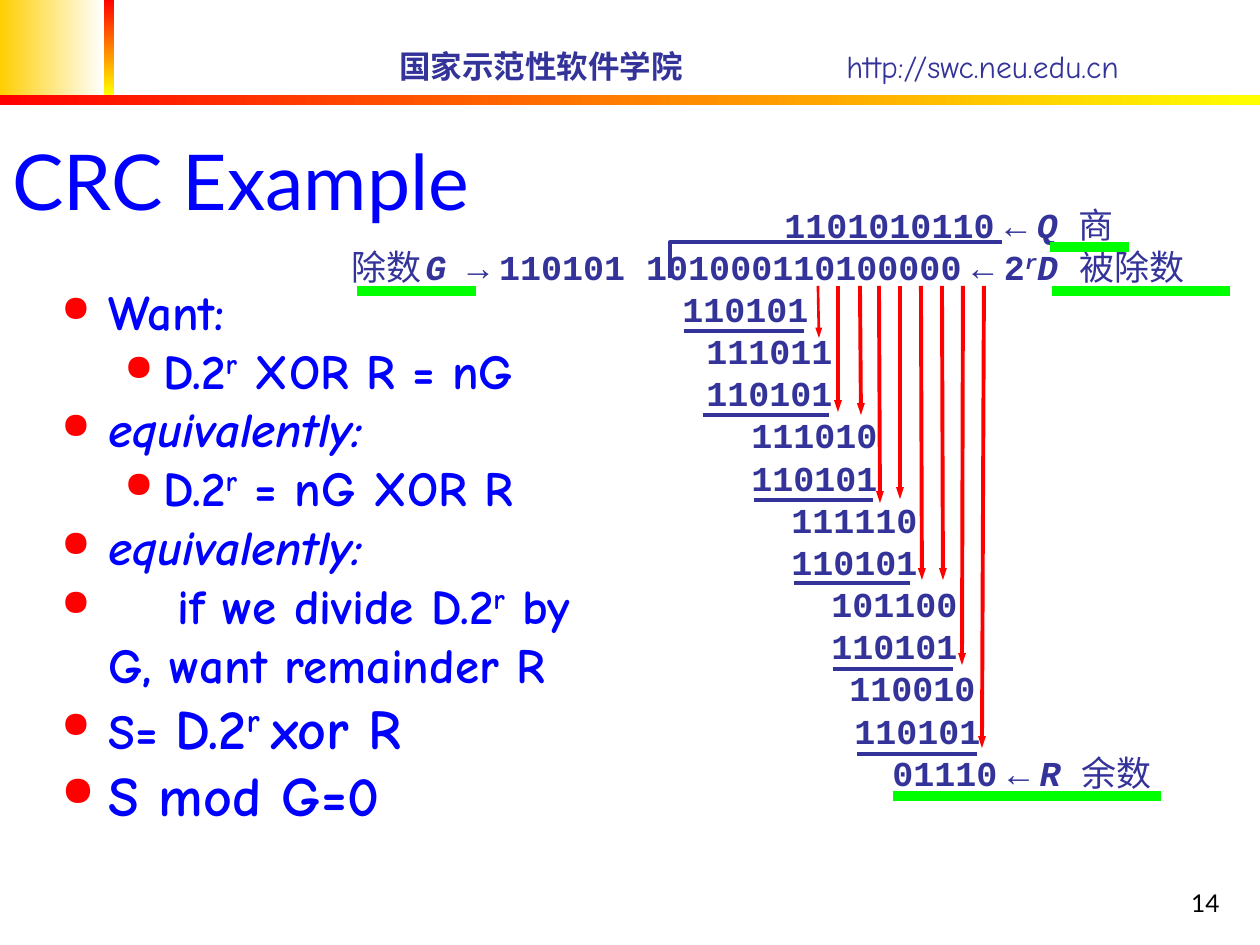
from lxml import etree
from pptx import Presentation
from pptx.dml.color import RGBColor
from pptx.enum.shapes import MSO_CONNECTOR as Connector, MSO_SHAPE as Shape
from pptx.enum.text import MSO_ANCHOR as Anchor, PP_ALIGN as Align
from pptx.oxml.ns import qn
from pptx.util import Pt

PX = 914400 // 126
NAVY, BLUE = RGBColor(0x33, 0x33, 0x99), RGBColor(0, 0, 0xFF)
RED, YELLOW = RGBColor(0xFF, 0, 0), RGBColor(0xFF, 0xFF, 0)
GOLD, GREEN = RGBColor(0xFF, 0xCF, 0x01), RGBColor(0, 0xFF, 0)
WHITE, BLACK = RGBColor(0xFF, 0xFF, 0xFF), RGBColor(0, 0, 0)
HAND, MONO, SANS = "Comic Neue", "Courier New", "Lato"

# Decoration: left, top, width, height, start colour, end colour, angle
BANDS = [
    (0, 0, 104, 95, GOLD, WHITE, 0),
    (104, 0, 10, 95, RED, YELLOW, 270),
    (0, 95, 1260, 10, RED, YELLOW, 0),
]

# Runs are (text, marks): i italic, n not bold, s small, ^ superscript, L large
GAP = (" ", "s")
# Long division: left indent, runs
DIVISION = [
    (441, [("1101010110", ""), GAP, ("←", ""), GAP, ("Q ", "i"), ("商", "n")]),
    (8, [("除数", "n"), GAP, ("G ", "i"), ("→", ""), GAP,
         ("110101 101000110100000", ""), GAP, ("←", ""), GAP, ("2", ""),
         ("r", "i^"), ("D ", "i"), ("被除数", "n")]),
    (339, [("110101", "")]),
    (363, [("111011", "")]),
    (363, [("110101", "")]),
    (408, [("111010", "")]),
    (408, [("110101", "")]),
    (448, [("111110", "")]),
    (448, [("110101", "")]),
    (488, [("101100", "")]),
    (488, [("110101", "")]),
    (506, [("110010", "")]),
    (511, [("110101", "")]),
    (549, [("01110", ""), GAP, ("←", ""), GAP, ("R ", "i"), ("余数", "n")]),
]

# Bullets: level, runs
BULLETS = [
    (0, [("Want:", "")]),
    (1, [("D.2", ""), ("r", "^"), (" XOR R = nG", "")]),
    (0, [("equivalently:", "i")]),
    (1, [("D.2", ""), ("r", "^"), (" = nG XOR R", "")]),
    (0, [("equivalently:", "i")]),
    (0, [("\tif we divide D.2", ""), ("r", "^"), (" by G, want remainder R", "")]),
    (0, [("S= ", ""), ("D.2", "L"), ("r ", "L^"), ("xor R", "L")]),
    (0, [("S mod G=0", "L")]),
]
LEVEL_INDENTS = [(47, 47), (102, 39)]  # left margin, hanging

# Bring-down arrows: x at top, x at tip, y at tip, width in points
ARROW_TOP = 286
ARROWS = [
    (818, 819, 338, 1.5), (838, 838, 412, 2.25), (860, 861, 415, 2.25),
    (879, 880, 503, 2.25), (900, 900, 499, 2.25), (921, 922, 580, 2.25),
    (942, 943, 580, 2.25), (963, 962, 665, 2.25), (984, 982, 748, 2.25),
]
# Underlines: left, right, y
STEP_RULES = [(684, 804, 331), (703, 829, 415), (754, 873, 500),
              (794, 910, 583), (833, 953, 669), (857, 977, 754)]
HIGHLIGHTS = [(893, 1161, 796), (1052, 1230, 291), (357, 476, 291), (1050, 1129, 247)]
BRACKET = [(670, 278), (670, 242), (1002, 242)]

presentation = Presentation()
presentation.slide_width, presentation.slide_height = 1260 * PX, 945 * PX
slide = presentation.slides.add_slide(presentation.slide_layouts[6])
shapes = slide.shapes


def add_box(left, top, width, height, anchor=Anchor.TOP):
    frame = shapes.add_textbox(left * PX, top * PX, width * PX, height * PX).text_frame
    frame.word_wrap = True
    frame.vertical_anchor = anchor
    return frame


def next_paragraph(frame, index):
    return frame.add_paragraph() if index else frame.paragraphs[0]


def set_font(font, name, size, color, bold=None):
    font.name, font.size, font.bold = name, Pt(size), bold
    font.color.rgb = color


def set_indent(paragraph, left, hanging=0):
    properties = paragraph._p.get_or_add_pPr()
    properties.set("marL", str(left * PX))
    properties.set("indent", str(-hanging * PX))
    return properties


def add_tab(properties, position):
    tabs = etree.SubElement(properties, qn("a:tabLst"))
    etree.SubElement(tabs, qn("a:tab"), pos=str(position * PX), algn="l")


def add_runs(paragraph, runs):
    for text, marks in runs:
        run = paragraph.add_run()
        run.text = text
        if "i" in marks:
            run.font.italic = True
        if "n" in marks:
            run.font.bold = False
        if "s" in marks:
            run.font.size = Pt(10)
        if "L" in marks:
            run.font.size = Pt(32)
        if "^" in marks:
            run.font._element.set("baseline", "30000")


def add_line(x1, y1, x2, y2, color, width, arrow=False):
    line = shapes.add_connector(Connector.STRAIGHT, x1 * PX, y1 * PX, x2 * PX, y2 * PX)
    line.line.color.rgb, line.line.width = color, Pt(width)
    if arrow:
        etree.SubElement(line.line._get_or_add_ln(), qn("a:tailEnd"), type="triangle", w="sm")
    etree.SubElement(line._element.spPr, qn("a:effectLst"))


# Header bands
for left, top, width, height, start, end, angle in BANDS:
    band = shapes.add_shape(Shape.RECTANGLE, left * PX, top * PX, width * PX, height * PX)
    band.shadow.inherit = False
    band.line.fill.background()
    band.fill.gradient()
    band.fill.gradient_angle = angle
    for stop, color in zip(band.fill.gradient_stops, (start, end)):
        stop.color.rgb = color

# Header text
paragraph = add_box(387, 41, 844, 50, Anchor.MIDDLE).paragraphs[0]
add_tab(paragraph._p.get_or_add_pPr(), 447)
add_runs(paragraph, [("国家示范性软件学院", ""), ("\thttp://swc.neu.edu.cn", "n")])
set_font(paragraph.font, HAND, 18, NAVY, True)

# Long division text
frame = add_box(331, 198, 929, 601)
frame.margin_top = 5 * PX
for index, (indent, runs) in enumerate(DIVISION):
    paragraph = next_paragraph(frame, index)
    set_indent(paragraph, indent)
    paragraph.line_spacing = Pt(24.1)
    add_runs(paragraph, runs)
    set_font(paragraph.font, MONO, 20, NAVY, True)

# Division bracket
builder = shapes.build_freeform(*BRACKET[0], scale=PX)
builder.add_line_segments(BRACKET[1:], close=False)
bracket = builder.convert_to_shape()
bracket.shadow.inherit = False
bracket.fill.background()
bracket.line.color.rgb, bracket.line.width = NAVY, Pt(2.25)

# Arrows and rules
for x_top, x_tip, y_tip, width in ARROWS:
    add_line(x_top, ARROW_TOP, x_tip, y_tip, RED, width, arrow=True)
for rules, color, width in ((STEP_RULES, NAVY, 2.25), (HIGHLIGHTS, GREEN, 6)):
    for left, right, y in rules:
        add_line(left, y, right, y, color, width)

# Title
paragraph = add_box(0, 73, 1074, 159, Anchor.BOTTOM).paragraphs[0]
paragraph.text = "CRC Example"
set_font(paragraph.font, SANS, 44, BLUE)

# Bullets
frame = add_box(49, 275, 592, 630)
for index, (level, runs) in enumerate(BULLETS):
    paragraph = next_paragraph(frame, index)
    paragraph.level = level
    properties = set_indent(paragraph, *LEVEL_INDENTS[level])
    color = etree.SubElement(properties, qn("a:buClr"))
    etree.SubElement(color, qn("a:srgbClr"), val=str(RED))
    etree.SubElement(properties, qn("a:buSzPct"), val="75000")
    etree.SubElement(properties, qn("a:buChar"), char="●")
    add_tab(properties, 116)
    add_runs(paragraph, runs)
    set_font(paragraph.font, HAND, 28, BLUE, True)

# Slide number
paragraph = add_box(970, 861, 262, 63, Anchor.BOTTOM).paragraphs[0]
paragraph.text = "14"
paragraph.alignment = Align.RIGHT
set_font(paragraph.font, SANS, 14, BLACK)

presentation.save("out.pptx")
